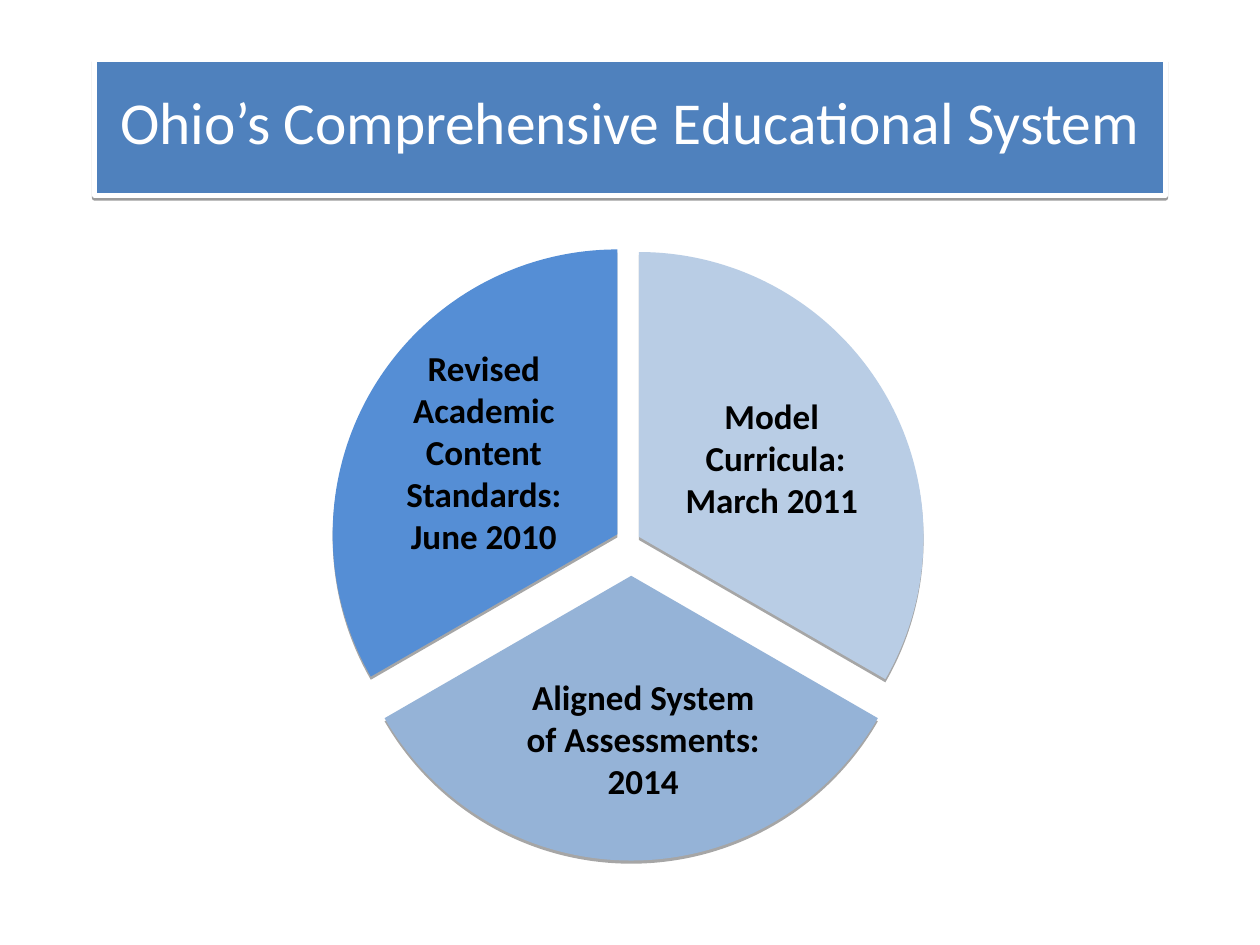
from lxml import etree
from pptx import Presentation
from pptx.dml.color import RGBColor as RGB
from pptx.enum.shapes import MSO_SHAPE as Shape
from pptx.enum.text import MSO_ANCHOR as Anchor, MSO_AUTO_SIZE as Auto, PP_ALIGN as Align
from pptx.oxml.ns import qn
from pptx.util import Inches, Pt

HUES = {"band": "4F81BD", "white": "FFFFFF", "black": "000000",
        "deep": "558ED5", "pale": "B9CDE5", "mid": "95B3D7"}
TITLE = "Ohio’s Comprehensive Educational System"
SIZE = 4.52
SWEEP = 120
SLICES = [
    {"at": (2.64, 1.98), "start": 150, "hue": "deep",
     "text": ["Revised Academic Content Standards: June 2010"],
     "box": (3.05, 2.7, 1.58, 1.77), "wrap": True},
    {"at": (2.81, 2), "start": 270, "hue": "pale",
     "text": ["Model", " Curricula:", "March 2011"],
     "box": (5.17, 3.08, 1.91, 1.1), "wrap": True},
    {"at": (2.75, 2.31), "start": 30, "hue": "mid",
     "text": ["Aligned System", "of Assessments:", "2014"],
     "box": (4.08, 5.31, 2.05, 1.1), "wrap": False},
]


def color(name):
    return RGB.from_string(HUES[name])


def paint(shape, hue):
    shape.fill.solid()
    shape.fill.fore_color.rgb = color(hue)


def shade(shape, dist, alpha):
    shape.shadow.inherit = False
    effects = shape._element.spPr.find(qn("a:effectLst"))
    drop = etree.SubElement(effects, qn("a:outerShdw"), blurRad="0",
                            dist=str(Pt(dist)), dir="5400000", rotWithShape="0")
    tint = etree.SubElement(drop, qn("a:srgbClr"), val=HUES["black"])
    etree.SubElement(tint, qn("a:alpha"), val=str(alpha * 1000))


def write(shape, lines, size=20, hue="black", bold=True, wrap=True,
          anchor=Anchor.TOP, gap=None):
    frame = shape.text_frame
    frame.text = "\n".join(lines)
    frame.auto_size = Auto.NONE
    frame.word_wrap = wrap
    frame.vertical_anchor = anchor
    for para in frame.paragraphs:
        para.alignment = Align.CENTER
        para.line_spacing = gap
        font = para.font
        font.name, font.size, font.bold = "Calibri", Pt(size), bold
        font.color.rgb = color(hue)


def place(shape, box):
    shape.left, shape.top, shape.width, shape.height = map(Inches, box)


def main():
    deck = Presentation()
    deck.slide_width, deck.slide_height = Inches(10), Inches(7.5)
    slide = deck.slides.add_slide(deck.slide_layouts[5])
    shapes = slide.shapes

    for part in SLICES:
        pie = shapes.add_shape(Shape.PIE, *map(Inches, (*part["at"], SIZE, SIZE)))
        pie.adjustments[0] = part["start"] * 0.6
        pie.adjustments[1] = (part["start"] + SWEEP) % 360 * 0.6
        paint(pie, part["hue"])
        pie.line.fill.background()
        shade(pie, 1.8, 35)

    for part in SLICES:
        label = shapes.add_textbox(*map(Inches, part["box"]))
        write(label, part["text"], wrap=part["wrap"])

    title = shapes.title
    place(title, (0.75, 0.47, 8.5, 1.08))
    paint(title, "band")
    title.line.color.rgb = color("white")
    title.line.width = Pt(3)
    shade(title, 1.6, 38)
    write(title, [TITLE], size=34, hue="white", bold=False,
          anchor=Anchor.MIDDLE, gap=0.8)

    deck.save("out.pptx")


if __name__ == "__main__":
    main()
